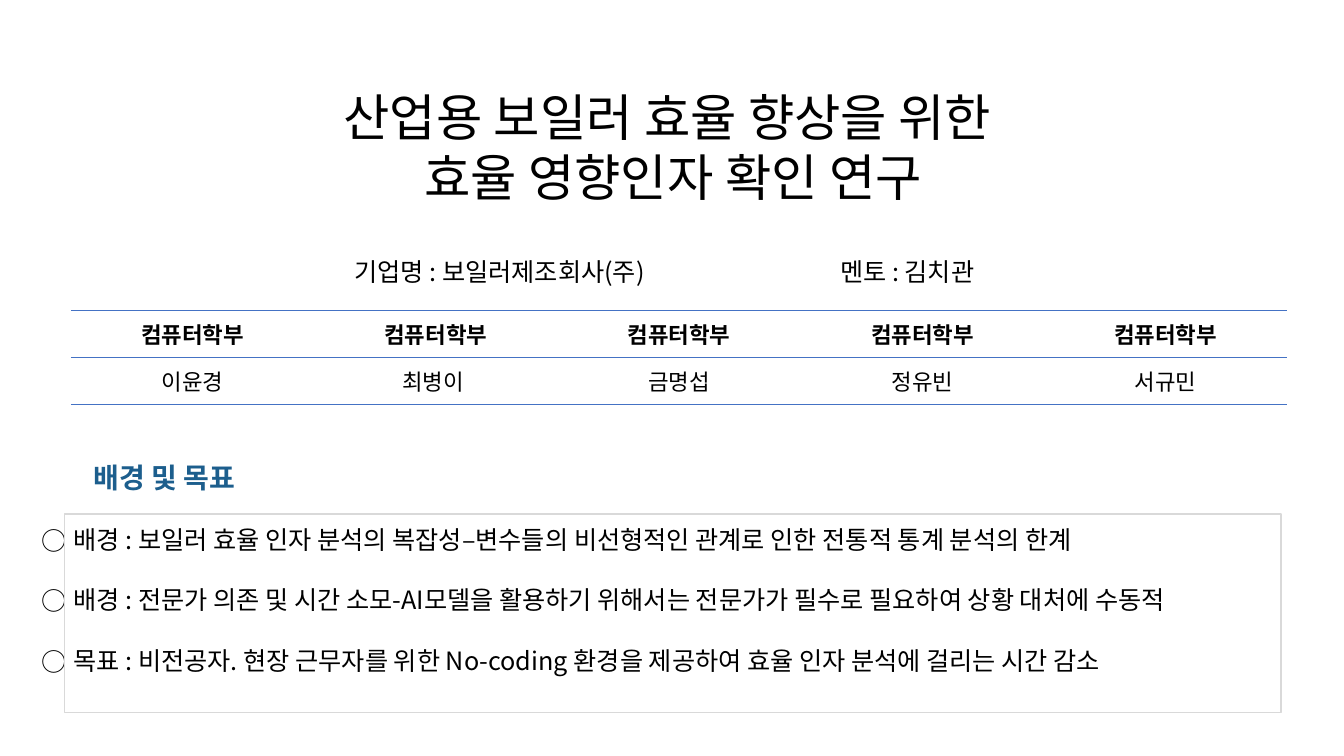
from lxml import etree
from pptx import Presentation
from pptx.dml.color import RGBColor
from pptx.enum import shapes, text
from pptx.oxml import ns
from pptx.util import Pt

TITLE = ["산업용 보일러 효율 향상을 위한 ", "효율 영향인자 확인 연구"]
CREDITS = [("기업명 : 보일러제조회사(주)", 246, 270), ("멘토 : 김치관", 593, 200)]
MEMBERS = [
    ("컴퓨터학부", "이윤경"),
    ("컴퓨터학부", "최병이 "),
    ("컴퓨터학부", "금명섭"),
    ("컴퓨터학부", "정유빈"),
    ("컴퓨터학부", "서규민"),
]
HEADING = "배경 및 목표"
GOALS = [
    "배경 : 보일러 효율 인자 분석의 복잡성–변수들의 비선형적인 관계로 인한 전통적 통계 분석의 한계",
    "배경 : 전문가 의존 및 시간 소모-AI모델을 활용하기 위해서는 전문가가 필수로 필요하여 상황 대처에 수동적",
    "목표 : 비전공자. 현장 근무자를 위한 No-coding 환경을 제공하여 효율 인자 분석에 걸리는 시간 감소",
]
COLORS = {"text": "000000", "heading": "1C5E8D", "rule": "4472C4", "frame": "D9D9D9"}
FONT = "Noto Sans CJK KR"
LINE_RATIO = 1.2
NO_STYLE = "{2D5ABB26-0587-4C30-8999-92F81FD0307C}"


def color(name):
    return RGBColor.from_string(COLORS[name])


def place(shape, left, top, width, height):
    shape.left, shape.top, shape.width, shape.height = map(Pt, (left, top, width, height))


def prepare(shape, inset_x=7.2, inset_y=3.6):
    frame = shape.text_frame
    frame.word_wrap = True
    frame.auto_size = text.MSO_AUTO_SIZE.NONE
    frame.vertical_anchor = text.MSO_ANCHOR.TOP
    frame.margin_left = frame.margin_right = Pt(inset_x)
    frame.margin_top = frame.margin_bottom = Pt(inset_y)
    return frame


def write(paragraph, words, size, align, bold=False, ink="text", font=FONT):
    paragraph.alignment = align
    run = paragraph.add_run()
    run.text = words
    run.font.size, run.font.bold, run.font.name = Pt(size), bold, font
    run.font.color.rgb = color(ink)
    east_asian = etree.SubElement(run.font._element, ns.qn("a:ea"))
    east_asian.set("typeface", FONT)


def write_lines(frame, lines, size, align, gap=0):
    for index, words in enumerate(lines):
        paragraph = frame.add_paragraph() if index else frame.paragraphs[0]
        paragraph.line_spacing = Pt(size * LINE_RATIO)
        paragraph.space_before, paragraph.space_after = Pt(0), Pt(gap)
        write(paragraph, words, size, align)


def add_bullet(paragraph, indent):
    properties = paragraph._p.get_or_add_pPr()
    properties.set("marL", str(Pt(indent)))
    properties.set("indent", str(-Pt(indent)))
    etree.SubElement(properties, ns.qn("a:buFont")).set("typeface", FONT)
    etree.SubElement(properties, ns.qn("a:buChar")).set("char", "○")


def add_rules(cell):
    properties = cell._tc.get_or_add_tcPr()
    for side in ("a:lnT", "a:lnB"):
        line = etree.SubElement(properties, ns.qn(side), w=str(Pt(1)))
        fill = etree.SubElement(line, ns.qn("a:solidFill"))
        etree.SubElement(fill, ns.qn("a:srgbClr"), val=COLORS["rule"])


def add_members(slide):
    holder = slide.shapes.add_table(2, len(MEMBERS), Pt(50.6), Pt(221.8), Pt(869), Pt(67))
    table = holder.table
    table.first_row = table.horz_banding = False
    table._tbl.tblPr.find(ns.qn("a:tableStyleId")).text = NO_STYLE
    for column, member in enumerate(MEMBERS):
        for row, words in enumerate(member):
            cell = table.cell(row, column)
            cell.vertical_anchor = text.MSO_ANCHOR.MIDDLE
            add_rules(cell)
            cell.fill.background()
            write(cell.text_frame.paragraphs[0], words, 16, text.PP_ALIGN.CENTER, bold=row == 0)


def main():
    presentation = Presentation()
    presentation.slide_width, presentation.slide_height = Pt(960), Pt(540)
    slide = presentation.slides.add_slide(presentation.slide_layouts[1])
    title, goals = slide.placeholders

    place(title, 0.7, 57.6, 960, 94.3)
    write_lines(prepare(title), TITLE, 36, text.PP_ALIGN.CENTER)

    for words, left, width in CREDITS:
        credit = slide.shapes.add_textbox(Pt(left), Pt(179.3), Pt(width), Pt(29))
        write_lines(prepare(credit), [words], 18, text.PP_ALIGN.LEFT)

    add_members(slide)

    frame = slide.shapes.add_shape(
        shapes.MSO_SHAPE.RECTANGLE, Pt(46), Pt(367.2), Pt(869), Pt(141.8)
    )
    frame.shadow.inherit = False
    frame.fill.background()
    frame.line.color.rgb, frame.line.width = color("frame"), Pt(1)

    place(goals, 22.3, 370.8, 915, 138.2)
    goal_text = prepare(goals)
    write_lines(goal_text, GOALS, 18, text.PP_ALIGN.LEFT, gap=18 * LINE_RATIO)
    for paragraph in goal_text.paragraphs:
        add_bullet(paragraph, 23)

    heading = slide.shapes.add_textbox(Pt(67), Pt(323.3), Pt(330.5), Pt(32.4))
    paragraph = prepare(heading, 0, 0).paragraphs[0]
    paragraph.line_spacing = 1.24
    write(paragraph, HEADING, 20, text.PP_ALIGN.LEFT, bold=True, ink="heading", font="Arial")

    presentation.save("out.pptx")


if __name__ == "__main__":
    main()
